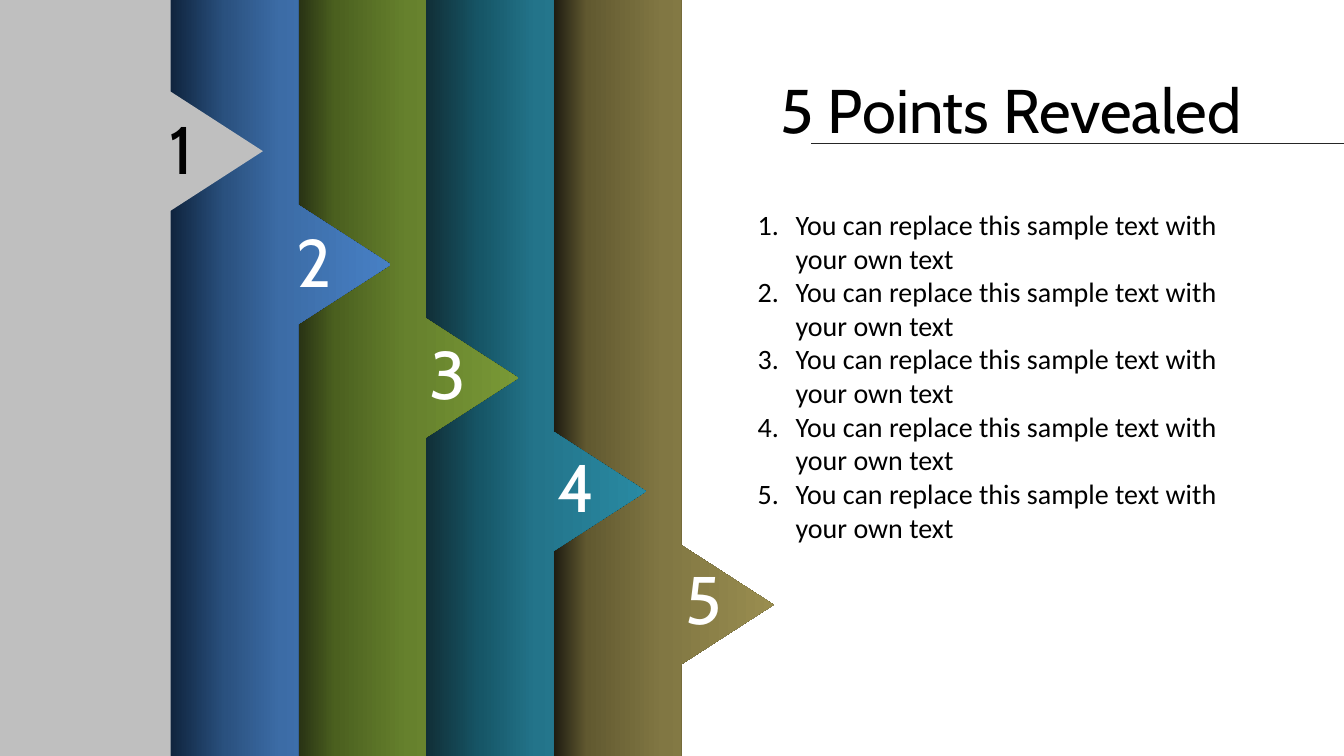
from lxml.etree import SubElement
from pptx import Presentation
from pptx.dml.color import RGBColor
from pptx.enum.shapes import MSO_CONNECTOR
from pptx.enum.text import MSO_ANCHOR, MSO_AUTO_SIZE, PP_ALIGN
from pptx.oxml.ns import qn
from pptx.util import Pt

COLOURS = {"text": "000000", "light": "FFFFFF", "rule": "262626", "grey": "BFBFBF"}
BANDS = [
    ([(0, COLOURS["grey"])], "text", 8),
    ([(0, "0F243E"), (25, "2A517F"), (50, "3C6CA6"), (100, "4780C5")], "light", 8),
    ([(0, "283214"), (17, "4B601F"), (50, "66812D"), (100, "799936")], "light", 4.3),
    ([(0, "112F37"), (25, "165667"), (50, "23748A"), (100, "298AA3")], "light", 4.3),
    ([(0, "1E1C11"), (15, "615930"), (50, "817743"), (100, "998D4F")], "light", 4.3),
]
SLIDE_WIDTH, SLIDE_HEIGHT = 960, 540
FIRST_EDGE, BAND_WIDTH = 121.8, 91.2
FIRST_TIP, TIP_STEP = 108, 81
TIP_DEPTH, TIP_HALF = 66, 42.6
FIRST_NUMBER, NUMBER_STEP = 73.4, 80.3
POINTS = ["You can replace this sample text with your own text"] * 5


def colour(name):
    return RGBColor.from_string(COLOURS[name])


def add_text(shapes, box, lines, font_name, size, colour_name):
    textbox = shapes.add_textbox(*map(Pt, box))
    frame = textbox.text_frame
    frame.word_wrap = True
    frame.text = "\n".join(lines)
    for paragraph in frame.paragraphs:
        paragraph.font.name = font_name
        paragraph.font.size = Pt(size)
        paragraph.font.color.rgb = colour(colour_name)
    return frame


def add_title(shapes):
    title = add_text(shapes, (66, 28.8, 828, 104.4), ["5 Points Revealed"],
                     "Cabin", 44, "text")
    title.vertical_anchor = MSO_ANCHOR.MIDDLE
    title.paragraphs[0].alignment = PP_ALIGN.RIGHT
    title.paragraphs[0].line_spacing = 0.9


def add_numbered_list(shapes):
    points = add_text(shapes, (534.2, 144.7, 360, 249.8), POINTS,
                      "Calibri", 20, "text")
    points.auto_size = MSO_AUTO_SIZE.SHAPE_TO_FIT_TEXT
    for paragraph in points.paragraphs:
        properties = paragraph._p.get_or_add_pPr()
        properties.set("marL", str(Pt(27)))
        properties.set("indent", str(Pt(-27)))
        numbering = SubElement(properties, qn("a:buAutoNum"), type="arabicPeriod")
        properties.insert(0, numbering)


def add_rule(shapes):
    rule = shapes.add_connector(MSO_CONNECTOR.STRAIGHT, Pt(SLIDE_WIDTH), Pt(102.2),
                                Pt(579.6), Pt(102.2))
    rule.line.color.rgb = colour("rule")
    rule.line.width = Pt(0.5)
    SubElement(rule.element.spPr, qn("a:effectLst"))


def fill_band(band, stops):
    if len(stops) == 1:
        band.fill.solid()
        band.fill.fore_color.rgb = RGBColor.from_string(stops[0][1])
        return
    band.fill.gradient()
    band.fill.gradient_angle = 0
    stop_list = band.element.spPr.find(qn("a:gradFill")).find(qn("a:gsLst"))
    for default_stop in list(stop_list):
        stop_list.remove(default_stop)
    for percent, value in stops:
        stop = SubElement(stop_list, qn("a:gs"), pos=str(percent * 1000))
        SubElement(stop, qn("a:srgbClr"), val=value)


def add_band(shapes, index):
    stops, number_colour, number_shift = BANDS[index]
    edge = FIRST_EDGE + index * BAND_WIDTH
    left = edge - BAND_WIDTH if index else 0
    tip = FIRST_TIP + index * TIP_STEP
    outline = [(left, 0), (edge, 0), (edge, tip - TIP_HALF), (edge + TIP_DEPTH, tip),
               (edge, tip + TIP_HALF), (edge, SLIDE_HEIGHT), (left, SLIDE_HEIGHT)]
    corners = [(Pt(x), Pt(y)) for x, y in outline]

    group = shapes.add_group_shape()
    builder = group.shapes.build_freeform(*corners[0])
    builder.add_line_segments(corners[1:], close=True)
    band = builder.convert_to_shape()
    band.shadow.inherit = False
    band.line.fill.background()
    fill_band(band, stops)

    number_box = (edge - number_shift, FIRST_NUMBER + index * NUMBER_STEP, 38.2, 65.5)
    number = add_text(group.shapes, number_box, [str(index + 1)],
                      "Cabin", 48, number_colour)
    number.word_wrap = False
    number.auto_size = MSO_AUTO_SIZE.SHAPE_TO_FIT_TEXT


def main():
    presentation = Presentation()
    presentation.slide_width = Pt(SLIDE_WIDTH)
    presentation.slide_height = Pt(SLIDE_HEIGHT)
    slide = presentation.slides.add_slide(presentation.slide_layouts[6])
    add_title(slide.shapes)
    add_numbered_list(slide.shapes)
    add_rule(slide.shapes)
    for index in reversed(range(len(BANDS))):
        add_band(slide.shapes, index)
    presentation.save("out.pptx")


if __name__ == "__main__":
    main()
